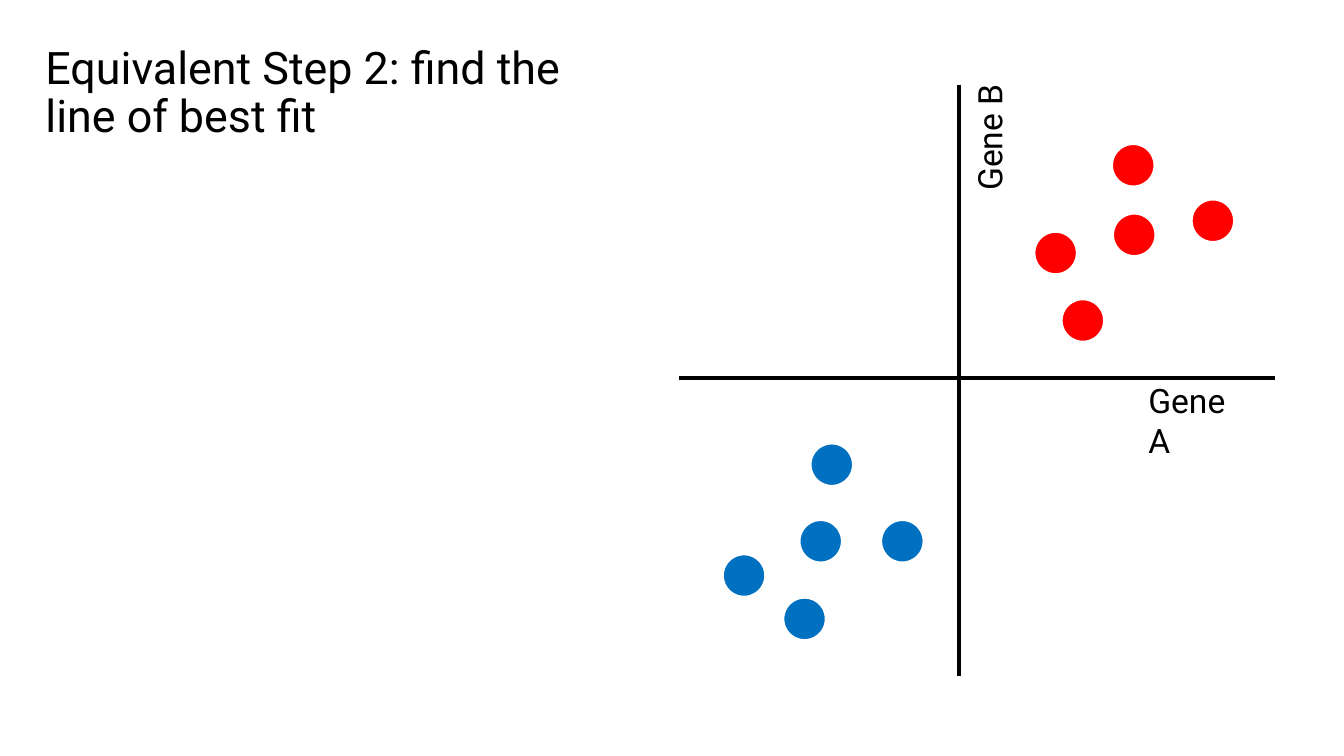
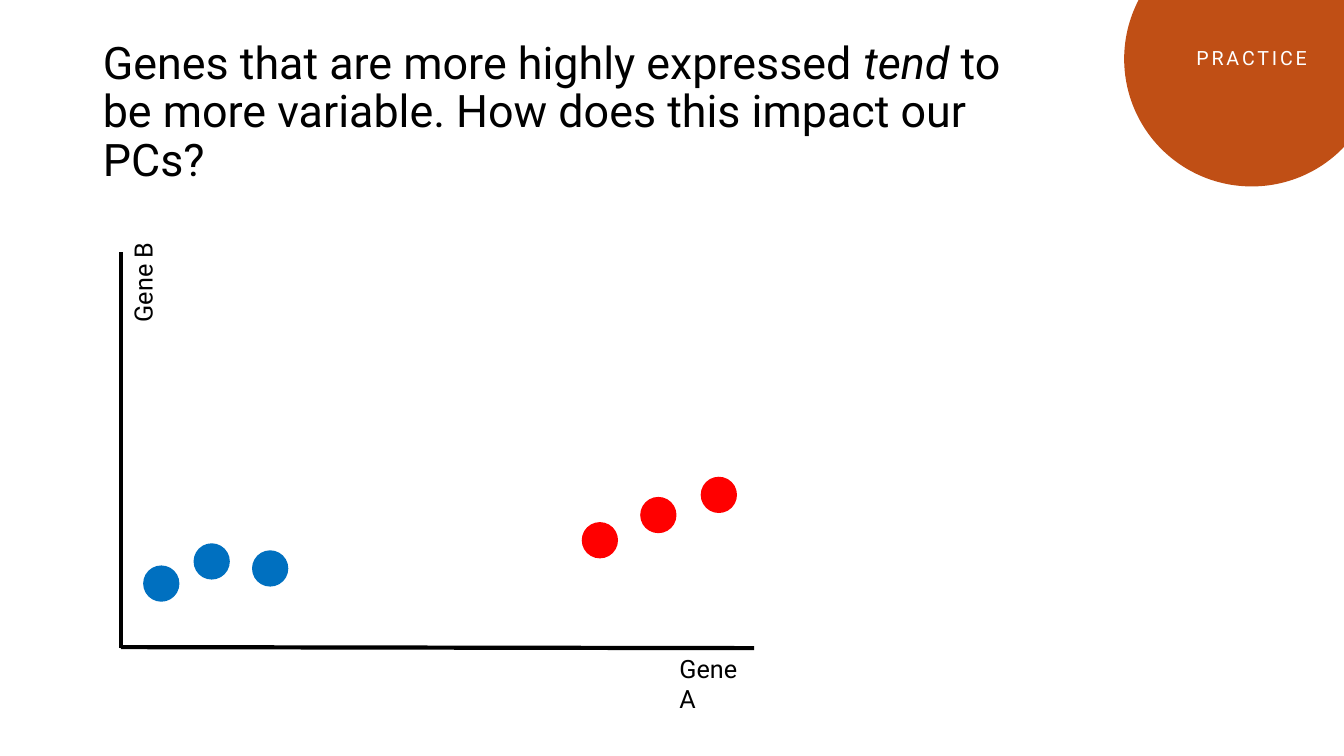
from pptx import Presentation
from pptx.dml.color import RGBColor
from pptx.enum import shapes, text
from pptx.oxml.ns import qn
from pptx.util import Inches, Pt

FONT = "Roboto"
BLACK = RGBColor(0x00, 0x00, 0x00)
WHITE = RGBColor(0xFF, 0xFF, 0xFF)
RED = RGBColor(0xFF, 0x00, 0x00)
BLUE = RGBColor(0x00, 0x70, 0xC0)
ORANGE = RGBColor(0xC0, 0x4F, 0x15)

# Boxes are left, top, width, height; axes are x1, y1, x2, y2;
# dots are the left, top corners of each circle. All in inches.
SLIDES = [
    {
        "title": [("Equivalent Step 2: find the line of best fit", False)],
        "title_box": (0.35, 0.21, 6.01, 1.45),
        "axes": [(9.51, 0.84, 9.51, 6.71), (12.65, 3.75, 6.73, 3.75)],
        "label_size": 24,
        "labels": [("Gene A", (11.29, 3.72, 1.25, 0.5), 0),
                   ("Gene B", (9.16, 1.09, 1.3, 0.5), 270)],
        "dot_size": 0.54,
        "dot_outline": 10,
        "dots": {
            RED: [(10.97, 1.37), (10.98, 2.06), (10.47, 2.91),
                  (11.76, 1.92), (10.2, 2.24)],
            BLUE: [(7.71, 5.87), (7.87, 5.1), (8.68, 5.1),
                   (7.11, 5.44), (7.98, 4.34)],
        },
    },
    {
        "title": [("Genes that are more highly expressed ", False),
                  ("tend", True),
                  (" to be more variable. How does this impact our PCs?", False)],
        "title_box": (0.92, 0.4, 9.3, 1.45),
        "badge": "PRACTICE",
        "axes": [(1.2, 2.5, 1.2, 6.43), (7.48, 6.43, 1.2, 6.42)],
        "label_size": 18,
        "labels": [("Gene A", (6.64, 6.43, 0.99, 0.4), 0),
                   ("Gene B", (0.92, 2.6, 0.99, 0.4), 270)],
        "dot_size": 0.36,
        "dot_outline": 0,
        "dots": {
            RED: [(6.95, 4.73), (5.77, 5.18), (6.35, 4.93)],
            BLUE: [(1.92, 5.39), (2.5, 5.46), (1.42, 5.61)],
        },
    },
]


def inches(values):
    return [Inches(v) for v in values]


def add_run(p, content, size, color=BLACK, italic=False):
    r = p.add_run()
    r.text = content
    for name, value in {"name": FONT, "size": Pt(size), "italic": italic}.items():
        setattr(r.font, name, value)
    r.font.color.rgb = color
    return r


def set_title(slide, parts, box):
    sp = slide.shapes.title
    sp.left, sp.top, sp.width, sp.height = inches(box)
    tf = sp.text_frame
    tf.auto_size = text.MSO_AUTO_SIZE.NONE
    tf.vertical_anchor = text.MSO_ANCHOR.MIDDLE
    p = tf.paragraphs[0]
    p.alignment = text.PP_ALIGN.LEFT
    p.line_spacing = 0.9
    for content, italic in parts:
        add_run(p, content, 32, italic=italic)


def add_axis(slide, ends):
    line = slide.shapes.add_connector(shapes.MSO_CONNECTOR.STRAIGHT, *inches(ends))
    line.line.color.rgb = BLACK
    line.line.width = Pt(3)
    sp_pr = line._element.spPr
    sp_pr.append(sp_pr.makeelement(qn("a:effectLst"), {}))


def add_label(slide, content, box, rotation, size):
    sp = slide.shapes.add_textbox(*inches(box))
    sp.rotation = rotation
    sp.text_frame.word_wrap = True
    add_run(sp.text_frame.paragraphs[0], content, size)


def add_circle(slide, left, top, size, color, outline=0):
    sp = slide.shapes.add_shape(shapes.MSO_SHAPE.OVAL,
                                *inches((left, top, size, size)))
    sp.shadow.inherit = False
    sp.fill.solid()
    sp.fill.fore_color.rgb = color
    if outline:
        sp.line.color.rgb = WHITE
        sp.line.width = Pt(outline)
    else:
        sp.line.fill.background()
    return sp


def add_badge(slide, content):
    """Orange circle cut off by the top right corner."""
    tf = add_circle(slide, 11.15, -0.68, 2.53, ORANGE).text_frame
    for side in ("left", "top", "right", "bottom"):
        setattr(tf, f"margin_{side}", Inches(0.2))
    tf.vertical_anchor = text.MSO_ANCHOR.MIDDLE
    p = tf.paragraphs[0]
    p.alignment = text.PP_ALIGN.CENTER
    p.line_spacing = 0.9
    r = add_run(p, content, 14, WHITE)
    r.font._element.set("spc", "200")


def build_slide(prs, data):
    slide = prs.slides.add_slide(prs.slide_layouts.get_by_name("Title Only"))
    set_title(slide, data["title"], data["title_box"])
    if "badge" in data:
        add_badge(slide, data["badge"])
    for ends in data["axes"]:
        add_axis(slide, ends)
    for content, box, rotation in data["labels"]:
        add_label(slide, content, box, rotation, data["label_size"])
    for color, corners in data["dots"].items():
        for left, top in corners:
            add_circle(slide, left, top, data["dot_size"], color,
                       data["dot_outline"])


def main():
    prs = Presentation()
    prs.slide_width, prs.slide_height = inches((13.33, 7.5))
    for data in SLIDES:
        build_slide(prs, data)
    prs.save("out.pptx")


if __name__ == "__main__":
    main()
